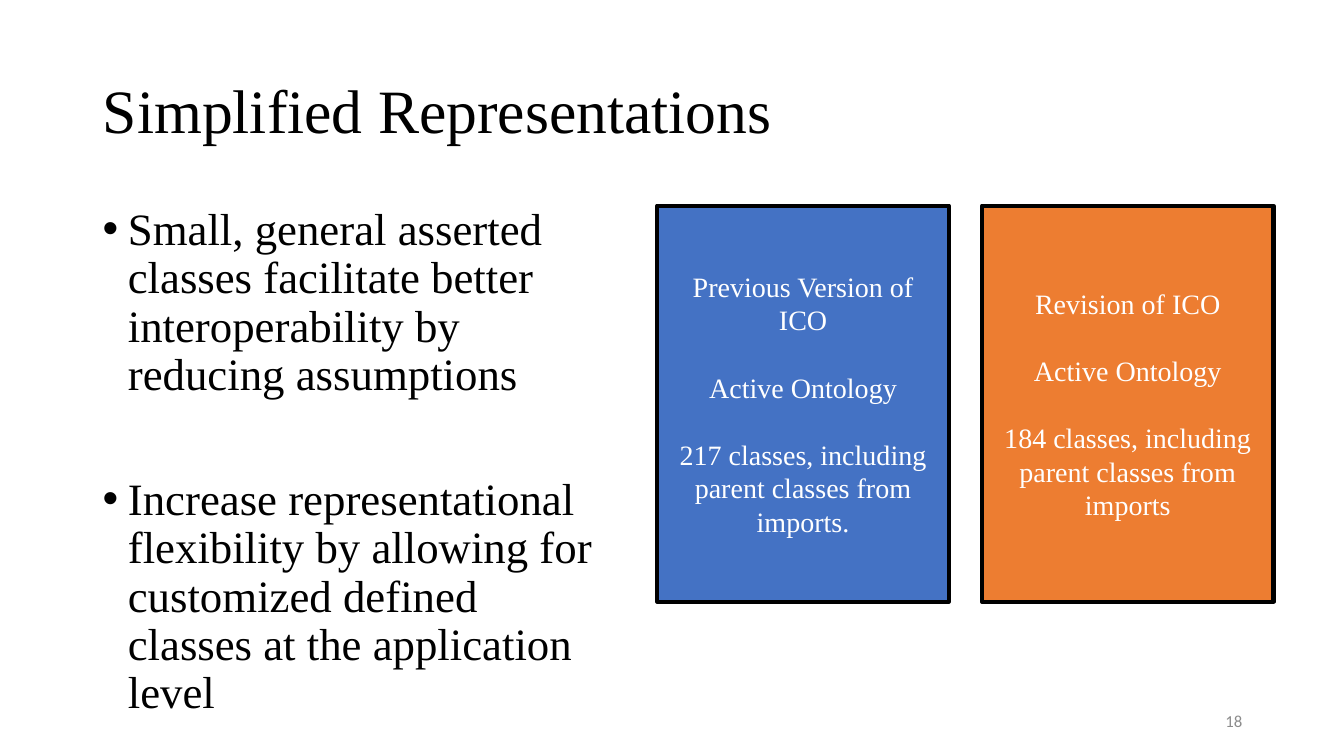
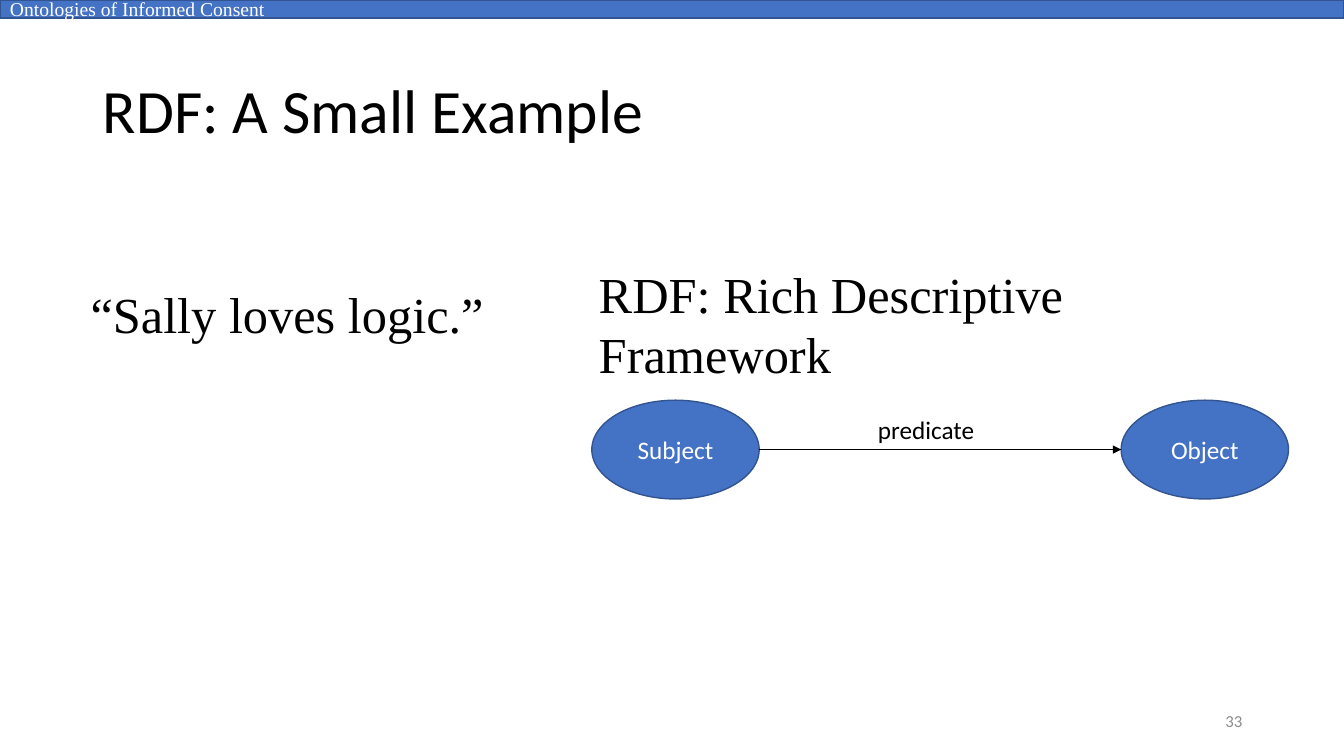
import lxml.etree
import pptx
import pptx.dml.color
import pptx.enum.shapes
import pptx.enum.text
import pptx.oxml.ns
import pptx.util

Inches = pptx.util.Inches
Pt = pptx.util.Pt
ALIGN = pptx.enum.text.PP_ALIGN
ANCHOR = pptx.enum.text.MSO_ANCHOR
SHAPES = pptx.enum.shapes.MSO_SHAPE
SERIF, SANS = "Times New Roman", "Calibri"
BLACK, WHITE, GREY = "000000", "FFFFFF", "8C8C8C"
BLUE, DARK_BLUE, ORANGE = "4472C4", "325491", "ED7D31"
color = pptx.dml.color.RGBColor.from_string
qn = pptx.oxml.ns.qn


def write(shape, texts, size, font, hex_color=BLACK, align=ALIGN.LEFT,
          anchor=ANCHOR.TOP, gap=0, spacing=None):
    """Fill a shape with one paragraph per text, gap points apart."""
    frame = shape.text_frame
    frame.word_wrap = True
    frame.auto_size = pptx.enum.text.MSO_AUTO_SIZE.NONE
    frame.vertical_anchor = anchor
    for index, text in enumerate(texts):
        paragraph = frame.add_paragraph() if index else frame.paragraphs[0]
        paragraph.alignment = align
        paragraph.line_spacing = spacing
        if index:
            paragraph.space_before = Pt(gap)
        run = paragraph.add_run()
        run.text = text
        run.font.size = Pt(size)
        run.font.name = font
        run.font.color.rgb = color(hex_color)


def add_filled(slide, kind, box, fill, line, line_width):
    shape = slide.shapes.add_shape(kind, *map(Inches, box))
    shape.shadow.inherit = False
    shape.fill.solid()
    shape.fill.fore_color.rgb = color(fill)
    shape.line.color.rgb = color(line)
    shape.line.width = Pt(line_width)
    return shape


presentation = pptx.Presentation()
presentation.slide_width = Inches(13.33)
presentation.slide_height = Inches(7.5)

# Titles and slide numbers
slides = []
for title_text, title_font, number in (
    ("Simplified Representations", SERIF, "18"),
    ("RDF: A Small Example", SANS, "33"),
):
    slide = presentation.slides.add_slide(presentation.slide_layouts[5])
    slides.append(slide)
    title = slide.shapes.title
    title.left, title.top = Inches(0.92), Inches(0.4)
    title.width, title.height = Inches(11.5), Inches(1.45)
    write(title, [title_text], 44, title_font, anchor=ANCHOR.MIDDLE, spacing=0.9)
    number_box = slide.shapes.add_textbox(
        Inches(9.42), Inches(6.95), Inches(3), Inches(0.4))
    write(number_box, [number], 12, SANS, GREY, ALIGN.RIGHT, ANCHOR.MIDDLE)
comparison_slide, rdf_slide = slides

# Simplified Representations: bullets beside two version cards
bullets = comparison_slide.shapes.add_textbox(
    Inches(0.92), Inches(2), Inches(5.24), Inches(4.76))
write(bullets, [
    "Small, general asserted classes facilitate better interoperability "
    "by reducing assumptions",
    "Increase representational flexibility by allowing for customized "
    "defined classes at the application level",
], 32, SERIF, gap=54.5, spacing=0.9)
for paragraph in bullets.text_frame.paragraphs:
    properties = paragraph._p.get_or_add_pPr()
    properties.set("marL", str(Inches(0.25)))
    properties.set("indent", str(-Inches(0.25)))
    lxml.etree.SubElement(properties, qn("a:buFont"), typeface="Arial")
    lxml.etree.SubElement(properties, qn("a:buChar"), char="•")

for index, (fill, heading, count) in enumerate((
    (BLUE, "Previous Version of ICO",
     "217 classes, including parent classes from imports."),
    (ORANGE, "Revision of ICO",
     "184 classes, including parent classes from imports"),
)):
    card = add_filled(comparison_slide, SHAPES.RECTANGLE,
                      (6.52 + index * 3.22, 2.04, 2.89, 3.93), fill, BLACK, 3)
    write(card, [heading, "Active Ontology", count], 20, SERIF, WHITE,
          ALIGN.CENTER, ANCHOR.MIDDLE, gap=24)

# RDF: A Small Example: subject, predicate, object
for label, left in (("Subject", 5.87), ("Object", 11.12)):
    node = add_filled(rdf_slide, SHAPES.OVAL, (left, 3.97, 1.66, 0.98),
                      BLUE, DARK_BLUE, 1)
    write(node, [label], 18, SANS, WHITE, ALIGN.CENTER, ANCHOR.MIDDLE)

arrow = rdf_slide.shapes.add_connector(
    pptx.enum.shapes.MSO_CONNECTOR.STRAIGHT,
    Inches(7.53), Inches(4.46), Inches(11.12), Inches(4.46))
arrow.line.color.rgb = color(BLACK)
arrow.line.width = Pt(0.5)
outline = arrow._element.spPr.find(qn("a:ln"))
lxml.etree.SubElement(outline, qn("a:tailEnd"), type="triangle")
lxml.etree.SubElement(arrow._element.spPr, qn("a:effectLst"))

for text, size, font, box in (
    ("predicate", 18, SANS, (8.61, 4.06, 1.2, 0.4)),
    ("RDF: Rich Descriptive Framework", 36, SERIF, (5.84, 2.56, 7.04, 1.3)),
    ("“Sally loves logic.”", 36, SERIF, (0.8, 2.76, 4.31, 0.71)),
):
    text_box = rdf_slide.shapes.add_textbox(*map(Inches, box))
    write(text_box, [text], size, font)

band = add_filled(rdf_slide, SHAPES.RECTANGLE, (0, 0, 13.33, 0.18),
                  BLUE, DARK_BLUE, 1)
write(band, ["Ontologies of Informed Consent"], 14, SERIF, WHITE,
      anchor=ANCHOR.MIDDLE)

presentation.save("out.pptx")
